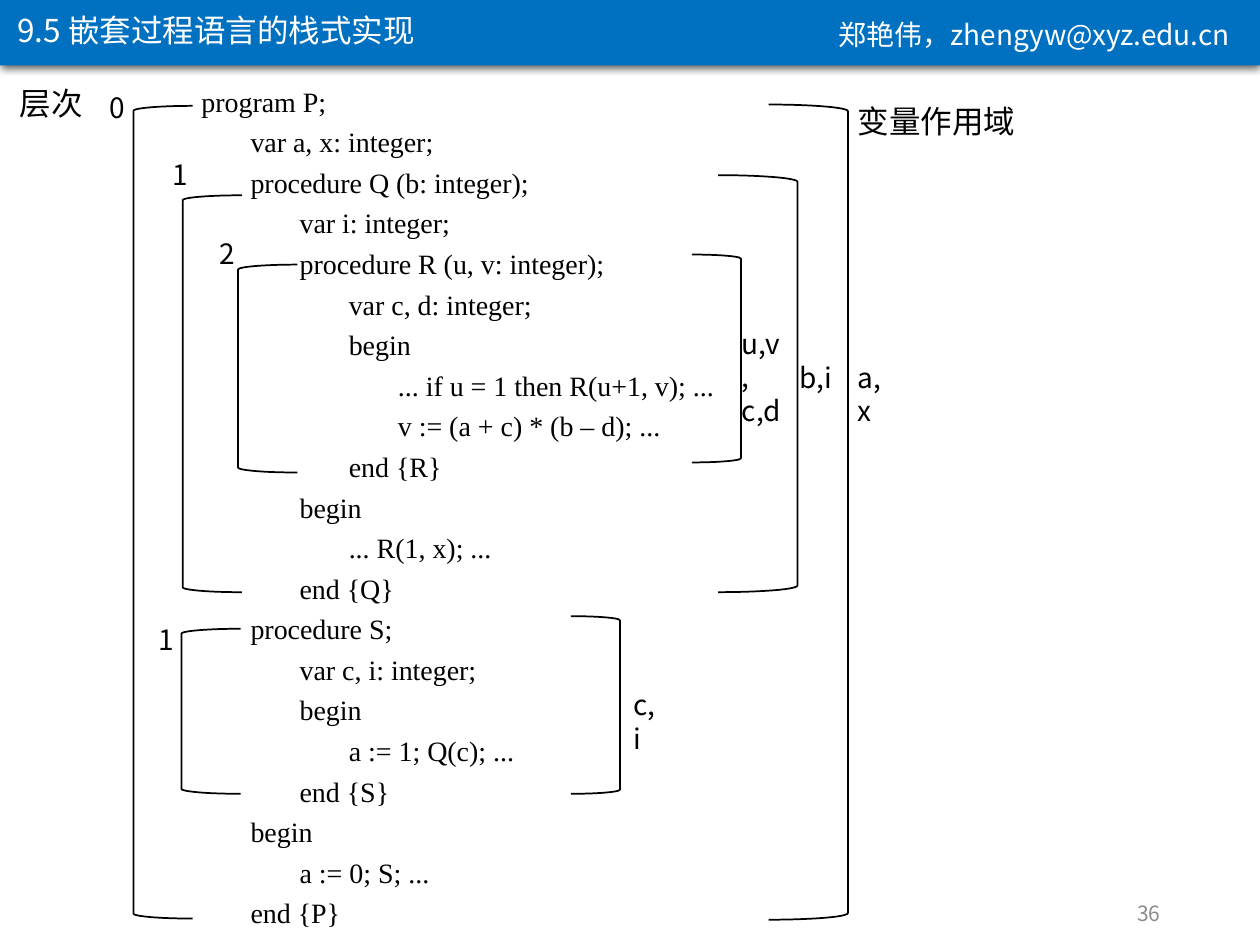
from dataclasses import dataclass

from lxml import etree
from pptx import Presentation
from pptx.dml.color import RGBColor
from pptx.enum.shapes import MSO_SHAPE
from pptx.enum.text import MSO_ANCHOR, PP_ALIGN
from pptx.oxml.ns import qn
from pptx.util import Inches, Pt

RECTANGLE = MSO_SHAPE.RECTANGLE
LEFT_BRACKET, RIGHT_BRACKET = MSO_SHAPE.LEFT_BRACKET, MSO_SHAPE.RIGHT_BRACKET
TOP, MIDDLE = MSO_ANCHOR.TOP, MSO_ANCHOR.MIDDLE
LEFT, RIGHT = PP_ALIGN.LEFT, PP_ALIGN.RIGHT

COLORS = {"banner": "0070C0", "ink": "000000", "paper": "FFFFFF", "muted": "8C8C8C"}
SANS, SERIF = "Noto Sans CJK SC", "Times New Roman"
INDENT = 0.39


@dataclass
class Label:
    text: str
    x: float
    y: float
    w: float
    h: float = 0.37
    size: int = 16
    color: str = "ink"
    wrap: bool = False
    align: PP_ALIGN = LEFT
    anchor: MSO_ANCHOR = TOP


@dataclass
class Bracket:
    kind: MSO_SHAPE
    x: float
    y: float
    w: float
    h: float


LABELS = [
    Label("郑艳伟，zhengyw@xyz.edu.cn", 6.56, 0.09, 3.44, color="paper"),
    Label("36", 7.06, 7.05, 2.25, 0.4, 12, "muted", True, RIGHT, MIDDLE),
    Label("9.5 嵌套过程语言的栈式实现", 0.04, 0.04, 3.41, 0.4, 18, "paper"),
    Label("层次", 0.06, 0.62, 0.71, 0.4, 18),
    Label("0", 0.77, 0.67, 0.33),
    Label("1", 1.27, 1.2, 0.33),
    Label("2", 1.64, 1.83, 0.33),
    Label("1", 1.16, 4.89, 0.33),
    Label("变量作用域", 6.71, 0.76, 1.46, 0.4, 18),
    Label("a,x", 6.71, 2.81, 0.49),
    Label("b,i", 6.25, 2.81, 0.46),
    Label("u,v,\nc,d", 5.79, 2.54, 0.55, 0.64, wrap=True),
    Label("c,i", 4.93, 5.41, 0.43, wrap=True),
]

BRACKETS = [
    Bracket(LEFT_BRACKET, 1.06, 0.84, 0.47, 6.45),
    Bracket(LEFT_BRACKET, 1.45, 1.55, 0.47, 3.15),
    Bracket(LEFT_BRACKET, 1.89, 2.1, 0.47, 1.65),
    Bracket(LEFT_BRACKET, 1.44, 4.99, 0.47, 1.31),
    Bracket(RIGHT_BRACKET, 6.1, 0.83, 0.63, 6.47),
    Bracket(RIGHT_BRACKET, 5.7, 1.39, 0.63, 3.31),
    Bracket(RIGHT_BRACKET, 5.49, 2.02, 0.39, 1.65),
    Bracket(RIGHT_BRACKET, 4.53, 4.89, 0.39, 1.41),
]

PROGRAM = [
    (0, "program P;"),
    (1, "var a, x: integer;"),
    (1, "procedure Q (b: integer);"),
    (2, "var i: integer;"),
    (2, "procedure R (u, v: integer);"),
    (3, "var c, d: integer;"),
    (3, "begin"),
    (4, "... if u = 1 then R(u+1, v); ..."),
    (4, "v := (a + c) * (b – d); ..."),
    (3, "end {R}"),
    (2, "begin"),
    (3, "... R(1, x); ..."),
    (2, "end {Q}"),
    (1, "procedure S;"),
    (2, "var c, i: integer;"),
    (2, "begin"),
    (3, "a := 1; Q(c); ..."),
    (2, "end {S}"),
    (1, "begin"),
    (2, "a := 0; S; ..."),
    (1, "end {P}"),
]


def rgb(name: str) -> RGBColor:
    return RGBColor.from_string(COLORS[name])


def add_run(p, text: str, size: int, font: str, color: str) -> None:
    r = p.add_run()
    r.text = text
    for attr, value in {"size": Pt(size), "name": font}.items():
        setattr(r.font, attr, value)
    r.font.color.rgb = rgb(color)
    etree.SubElement(r.font._element, qn("a:ea"), typeface=font)


def add_box(slide, x: float, y: float, w: float, h: float, **frame):
    sp = slide.shapes.add_textbox(Inches(x), Inches(y), Inches(w), Inches(h))
    for attr, value in frame.items():
        setattr(sp.text_frame, attr, value)
    return sp.text_frame


def add_paragraph(tf, index: int):
    return tf.add_paragraph() if index else tf.paragraphs[0]


def draw_label(slide, label: Label) -> None:
    tf = add_box(slide, label.x, label.y, label.w, label.h,
                 word_wrap=label.wrap, vertical_anchor=label.anchor)
    for i, line in enumerate(label.text.split("\n")):
        p = add_paragraph(tf, i)
        p.alignment = label.align
        add_run(p, line, label.size, SANS, label.color)


def draw_bracket(slide, bracket: Bracket) -> None:
    sp = slide.shapes.add_shape(bracket.kind, Inches(bracket.x), Inches(bracket.y),
                                Inches(bracket.w), Inches(bracket.h))
    sp.shadow.inherit = False
    sp.fill.background()
    sp.line.color.rgb = rgb("ink")
    sp.line.width = Pt(1)


def draw_program(slide) -> None:
    tf = add_box(slide, 1.5, 0.62, 4.5, 6.83, word_wrap=True)
    for i, (level, line) in enumerate(PROGRAM):
        p = add_paragraph(tf, i)
        p.space_before = Pt(4)
        p._p.get_or_add_pPr().set("marL", str(Inches(level * INDENT)))
        add_run(p, line, 16, SERIF, "ink")


def draw_banner(slide) -> None:
    sp = slide.shapes.add_shape(RECTANGLE, Inches(0), Inches(-0.02), Inches(10), Inches(0.54))
    sp.shadow.inherit = False
    sp.fill.solid()
    sp.fill.fore_color.rgb = rgb("banner")
    sp.line.fill.background()
    effects = sp._element.spPr.find(qn("a:effectLst"))
    shadow = etree.SubElement(effects, qn("a:outerShdw"), blurRad=str(Pt(4.5)),
                              dist=str(Pt(1.5)), dir="5400000", rotWithShape="0")
    color = etree.SubElement(shadow, qn("a:srgbClr"), val=COLORS["ink"])
    etree.SubElement(color, qn("a:alpha"), val="63000")


def main() -> None:
    prs = Presentation()
    prs.slide_width, prs.slide_height = Inches(10), Inches(7.5)
    slide = prs.slides.add_slide(prs.slide_layouts[6])
    draw_banner(slide)
    draw_program(slide)
    for bracket in BRACKETS:
        draw_bracket(slide, bracket)
    for label in LABELS:
        draw_label(slide, label)
    prs.save("out.pptx")


if __name__ == "__main__":
    main()
